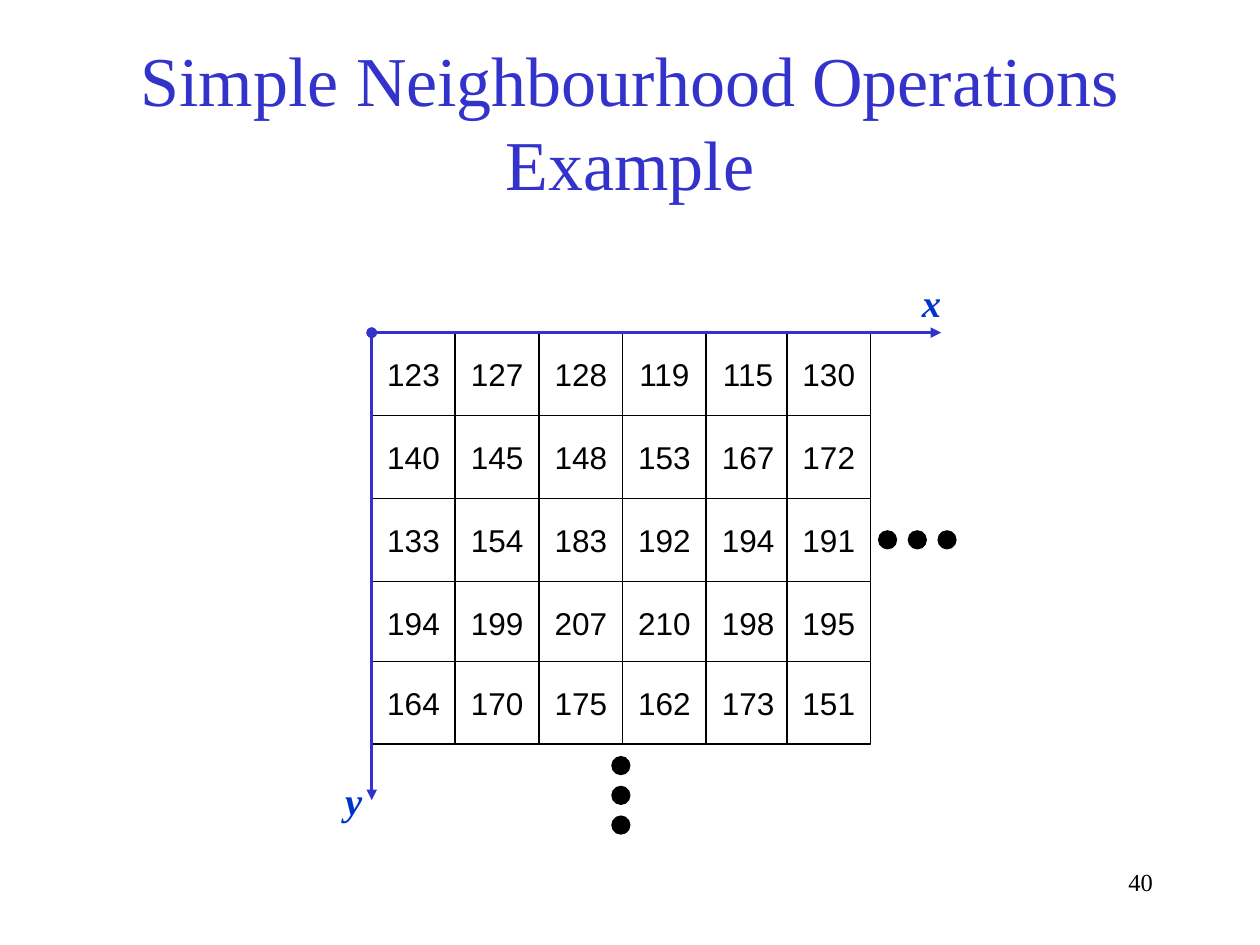
from pptx import Presentation
from pptx.dml.color import RGBColor
from pptx.enum.shapes import MSO_CONNECTOR, MSO_SHAPE
from pptx.enum.text import MSO_ANCHOR, MSO_AUTO_SIZE, PP_ALIGN
from pptx.oxml.ns import qn
from pptx.util import Pt
from lxml.etree import SubElement

COLORS = {"black": "000000", "white": "FFFFFF", "axis": "3333CC", "label": "0033CC"}
SERIF, SANS = "Times New Roman", "Arial"


def color(name):
    return RGBColor.from_string(COLORS[name])


def write(tf, text, size=18, font=SANS, fill="black", bold=False, italic=False,
          align=PP_ALIGN.LEFT, anchor=MSO_ANCHOR.TOP, wrap=False):
    tf.auto_size = MSO_AUTO_SIZE.NONE
    tf.word_wrap = wrap
    tf.vertical_anchor = anchor
    p = tf.paragraphs[0]
    p.alignment = align
    r = p.add_run()
    r.text = text
    r.font.name, r.font.size = font, Pt(size)
    r.font.bold, r.font.italic = bold, italic
    r.font.color.rgb = color(fill)


class SlideBuilder:
    def __init__(self, prs):
        self.s = prs.slides.add_slide(prs.slide_layouts[5])
        self.s.background.fill.solid()
        self.s.background.fill.fore_color.rgb = color("white")

    def title(self, text, x, y, w, h):
        sp = self.s.shapes.title
        sp.left, sp.top, sp.width, sp.height = Pt(x), Pt(y), Pt(w), Pt(h)
        write(sp.text_frame, text, size=40, font=SERIF, fill="axis",
              align=PP_ALIGN.CENTER, anchor=MSO_ANCHOR.MIDDLE, wrap=True)

    def text(self, text, x, y, w, h, **fmt):
        sp = self.s.shapes.add_textbox(Pt(x), Pt(y), Pt(w), Pt(h))
        write(sp.text_frame, text, **fmt)

    def shape(self, kind, x, y, w, h, fill):
        sp = self.s.shapes.add_shape(kind, Pt(x), Pt(y), Pt(w), Pt(h))
        sp.shadow.inherit = False
        sp.fill.solid()
        sp.fill.fore_color.rgb = color(fill)
        return sp

    def cell(self, value, x, y, w, h):
        sp = self.shape(MSO_SHAPE.RECTANGLE, x, y, w, h, "white")
        sp.line.color.rgb = color("black")
        sp.line.width = Pt(1)
        write(sp.text_frame, str(value), align=PP_ALIGN.CENTER, anchor=MSO_ANCHOR.MIDDLE)

    def dot(self, x, y, size):
        sp = self.shape(MSO_SHAPE.OVAL, x, y, size, size, "black")
        sp.line.fill.background()

    def axis(self, x1, y1, x2, y2):
        cn = self.s.shapes.add_connector(MSO_CONNECTOR.STRAIGHT,
                                         Pt(x1), Pt(y1), Pt(x2), Pt(y2))
        cn.line.color.rgb = color("axis")
        cn.line.width = Pt(2)
        spPr = cn._element.spPr
        ln = spPr.find(qn("a:ln"))
        SubElement(ln, qn("a:headEnd"), type="oval")
        SubElement(ln, qn("a:tailEnd"), type="triangle")
        SubElement(spPr, qn("a:effectLst"))


PIXELS = [
    [123, 127, 128, 119, 115, 130],
    [140, 145, 148, 153, 167, 172],
    [133, 154, 183, 192, 194, 191],
    [194, 199, 207, 210, 198, 195],
    [164, 170, 175, 162, 173, 151],
]
LEFT, TOP = 212.4, 190.1
CELL_W, CELL_H = 47.8, 47.4
OVERLAP = 1.7  # the last column and row sit slightly over their neighbours


def grid_offset(i, count, size):
    return i * size - (OVERLAP if i == count - 1 else 0)


def main():
    prs = Presentation()
    prs.slide_width, prs.slide_height = Pt(720), Pt(540)
    b = SlideBuilder(prs)

    # Title and page number
    b.title("Simple Neighbourhood Operations Example", 54, 24, 612, 90)
    b.text("40", 516, 492, 150, 36, size=14, font=SERIF,
           align=PP_ALIGN.RIGHT, wrap=True)

    # Pixel grid
    for row, values in enumerate(PIXELS):
        y = TOP + grid_offset(row, len(PIXELS), CELL_H)
        for col, value in enumerate(values):
            x = LEFT + grid_offset(col, len(values), CELL_W)
            b.cell(value, x, y, CELL_W, CELL_H)

    # Axes with labels
    b.axis(LEFT, TOP, 537.8, TOP)
    b.axis(LEFT, TOP, LEFT, 457.2)
    for name, x, y in (("x", 519.8, 156.2), ("y", 190.1, 440.6)):
        b.text(name, x, y, 25, 33.8, size=22, font=SERIF, fill="label",
               bold=True, italic=True)

    # Continuation dots to the right and below
    for i in range(3):
        b.dot(501.7 + 17 * i, 303, 11)
        b.dot(349.3, 432 + 17 * i, 11)

    prs.save("out.pptx")


if __name__ == "__main__":
    main()
